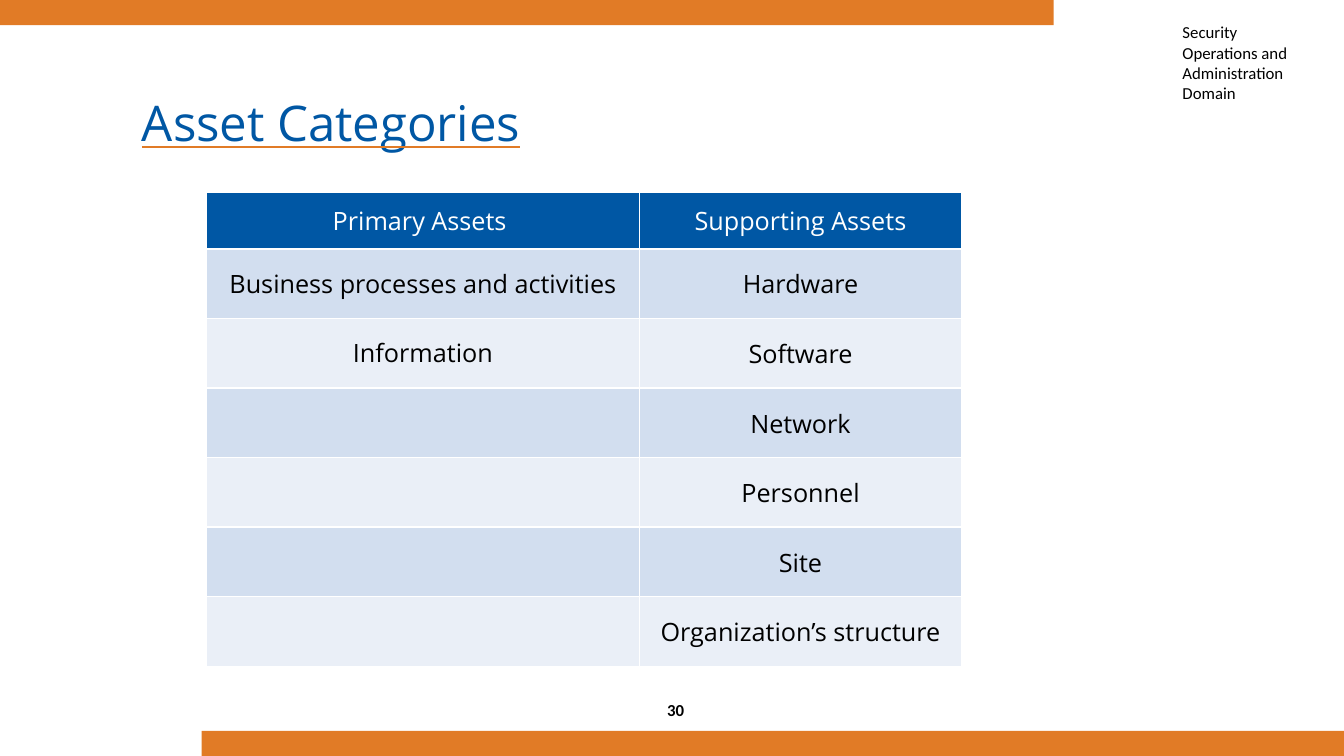
from itertools import zip_longest

from lxml import etree
from pptx import Presentation
from pptx.dml.color import RGBColor
from pptx.enum.shapes import MSO_SHAPE as SHAPE
from pptx.enum.text import MSO_ANCHOR as ANCHOR, PP_ALIGN as ALIGN
from pptx.oxml import parse_xml
from pptx.oxml.ns import nsdecls, qn
from pptx.util import Inches, Pt

COLORS = {"orange": "E17B26", "blue": "0057A4", "white": "FFFFFF", "black": "000000",
          "band_dark": "D2DEEF", "band_light": "EAEFF7"}
FORMATS = {
    "title": {"name": "Open Sans", "size": Pt(60.5), "underline": True},
    "table": {"name": "Open Sans", "size": Pt(18)},
    "domain": {"name": "Calibri", "size": Pt(12)},
    "number": {"name": "Calibri", "size": Pt(12), "bold": True},
}
PRIMARY = ["Business processes and activities", "Information"]
SUPPORTING = ["Hardware", "Software", "Network", "Personnel", "Site",
              "Organization’s structure"]


def rgb(name):
    """Return the named palette colour."""
    return RGBColor.from_string(COLORS[name])


def write(p, text, style, color="black", align=ALIGN.LEFT):
    """Put one formatted run in a paragraph and return it."""
    p.alignment = align
    r = p.add_run()
    r.text = text
    for key, value in FORMATS[style].items():
        setattr(r.font, key, value)
    r.font.color.rgb = rgb(color)
    return r


def add_box(slide, box, anchor=ANCHOR.MIDDLE):
    """Add a wrapping text box and return its text frame."""
    tf = slide.shapes.add_textbox(*map(Inches, box)).text_frame
    tf.word_wrap = True
    tf.vertical_anchor = anchor
    return tf


def add_bar(slide, box):
    """Add a plain orange bar."""
    sp = slide.shapes.add_shape(SHAPE.RECTANGLE, *map(Inches, box))
    sp.shadow.inherit = False
    sp.fill.solid()
    sp.fill.fore_color.rgb = rgb("orange")
    sp.line.fill.background()


def add_domain(slide, box, lines):
    """Add the domain label, one paragraph a line."""
    tf = add_box(slide, box, ANCHOR.TOP)
    for i, line in enumerate(lines):
        p = tf.add_paragraph() if i else tf.paragraphs[0]
        write(p, line, "domain")


def add_title(slide, box, text):
    """Add the raised title with its orange underline."""
    p = add_box(slide, box).paragraphs[0]
    p.line_spacing = 0.9
    rPr = write(p, text, "title", "blue").font._element
    rPr.set("baseline", "12000")
    rPr.find(qn("a:solidFill")).addnext(parse_xml(
        f'<a:uFill {nsdecls("a")}><a:solidFill><a:srgbClr val="{COLORS["orange"]}"/>'
        '</a:solidFill></a:uFill>'))


def add_borders(cell):
    """Give a cell thin white borders on all sides."""
    tcPr = cell._tc.get_or_add_tcPr()
    for i, side in enumerate(("lnL", "lnR", "lnT", "lnB")):
        ln = etree.Element(qn(f"a:{side}"), w=str(Pt(1)))
        fill = etree.SubElement(ln, qn("a:solidFill"))
        etree.SubElement(fill, qn("a:srgbClr"), val=COLORS["white"])
        tcPr.insert(i, ln)


def add_assets(slide, box, header, rows, widths, header_height):
    """Add the banded table of assets under a blue header row."""
    tbl = slide.shapes.add_table(len(rows) + 1, len(header), *map(Inches, box)).table
    for col, width in zip(tbl.columns, widths):
        col.width = Inches(width)
    for i, texts in enumerate([header, *rows]):
        height = (box[3] - header_height) / len(rows) if i else header_height
        tbl.rows[i].height = Inches(height)
        band = ("band_light", "band_dark")[i % 2] if i else "blue"
        for j, text in enumerate(texts):
            cell = tbl.cell(i, j)
            pad = 0.18 if i and j else 0.05
            cell.margin_top = cell.margin_bottom = Inches(pad)
            cell.margin_left = cell.margin_right = Inches(max(pad, 0.09))
            cell.vertical_anchor = ANCHOR.MIDDLE
            cell.fill.solid()
            cell.fill.fore_color.rgb = rgb(band)
            add_borders(cell)
            if text:
                write(cell.text_frame.paragraphs[0], text, "table",
                      "black" if i else "white", ALIGN.CENTER)


def add_number(slide, box, number):
    """Add the centred slide number."""
    write(add_box(slide, box).paragraphs[0], number, "number", align=ALIGN.CENTER)


def main():
    """Build the slide and save it."""
    prs = Presentation()
    prs.slide_width, prs.slide_height = Inches(13.33), Inches(7.5)
    s = prs.slides.add_slide(prs.slide_layouts[6])
    add_number(s, (6.39, 6.84, 0.62, 0.4), "30")
    add_bar(s, (0, 0, 10.45, 0.25))
    add_bar(s, (2, 7.25, 11.33, 0.25))
    add_domain(s, (11.63, 0.17, 1.36, 0.91),
               ["Security", "Operations and", "Administration", "Domain"])
    add_title(s, (1.31, 0.61, 9.48, 1.25), "Asset Categories")
    add_assets(s, (2.05, 1.91, 7.49, 4.7), ("Primary Assets ", "Supporting Assets"),
               list(zip_longest(PRIMARY, SUPPORTING, fillvalue="")), (4.29, 3.2), 0.56)
    prs.save("out.pptx")


if __name__ == "__main__":
    main()
